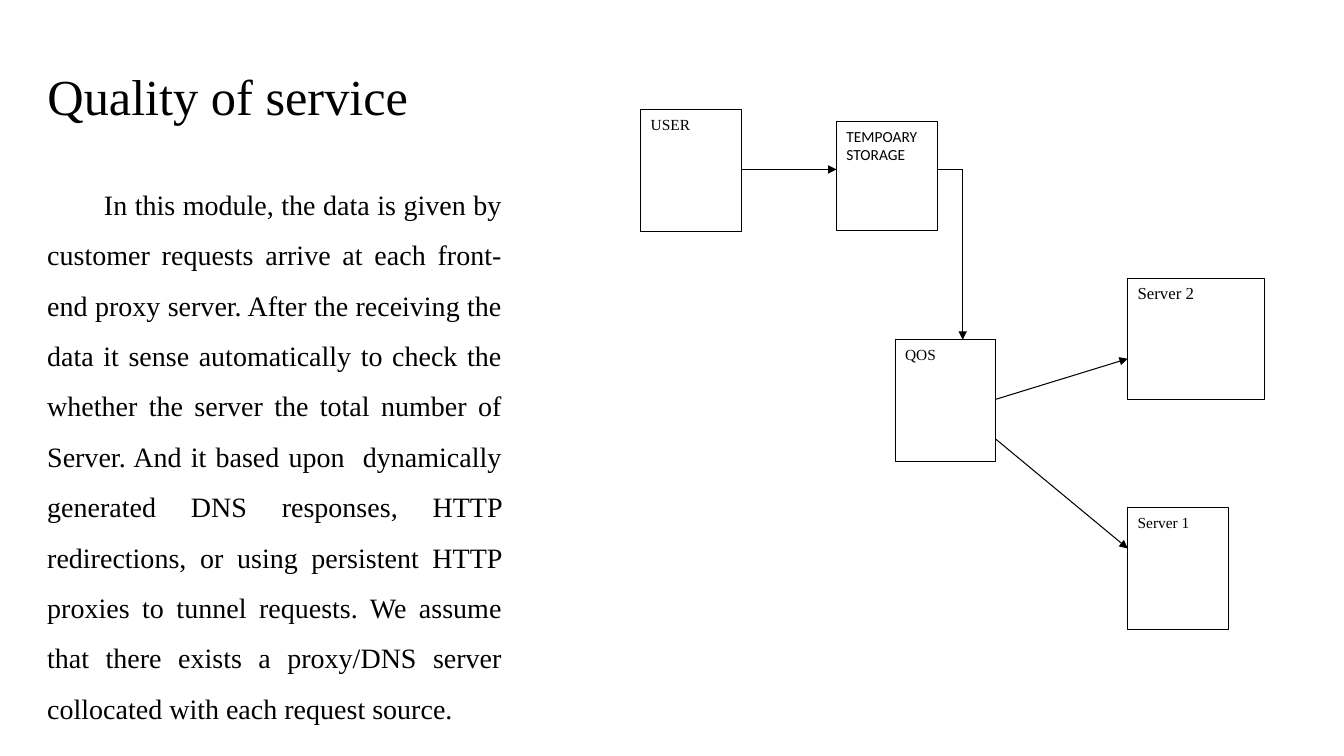
from lxml.etree import SubElement as Sub
from pptx import Presentation
from pptx.dml.color import RGBColor
from pptx.enum.shapes import MSO_CONNECTOR as Link, MSO_SHAPE as Form
from pptx.enum.text import MSO_ANCHOR as Anchor, MSO_AUTO_SIZE as Fit, PP_ALIGN as Align
from pptx.oxml.ns import qn
from pptx.util import Cm, Pt

# Content
TITLE = "Quality of service"
BODY = (
    "In this module, the data is given by customer requests arrive at each "
    "front-end proxy server. After the receiving the data it sense automatically "
    "to check the whether the server the total number of Server. And it based "
    "upon  dynamically generated DNS responses, HTTP redirections, or using "
    "persistent HTTP proxies to tunnel requests. We assume that there exists a "
    "proxy/DNS server collocated with each request source."
)
SERIF, SANS = "Times New Roman", "Calibri"
BLACK, WHITE = "000000", "FFFFFF"

# Boxes: label, left, top, width, height in cm, font, size
BOXES = {
    "user": ("USER", 16.15, 2.77, 2.54, 3.07, SERIF, 11),
    "store": ("TEMPOARY STORAGE", 21.08, 3.07, 2.54, 2.74, SANS, 11),
    "qos": ("QOS", 22.56, 8.56, 2.54, 3.07, SERIF, 11),
    "one": ("Server 1", 28.42, 12.8, 2.54, 3.07, SERIF, 11),
    "two": ("Server 2", 28.42, 7.01, 3.45, 3.07, SERIF, 12),
}


def left(key):
    return BOXES[key][1]


def right(key):
    return BOXES[key][1] + BOXES[key][3]


# Links: start, end, arrow at the end
FLOW, BEND = 4.27, 24.26
LINKS = [
    ((right("user"), FLOW), (left("store"), FLOW), True),
    ((right("store"), FLOW), (BEND, FLOW), False),
    ((BEND, FLOW), (BEND, BOXES["qos"][2]), True),
    ((right("qos"), 10.06), (left("two"), 9.04), True),
    ((right("qos"), 11.07), (left("one"), 13.82), True),
]


def color(code):
    return RGBColor.from_string(code)


def place(shape, x, y, w, h):
    shape.left, shape.top, shape.width, shape.height = map(Cm, (x, y, w, h))


def write(shape, text, font, size, align=Align.LEFT, lines=1.0, after=0):
    frame = shape.text_frame
    frame.word_wrap = True
    frame.auto_size = Fit.NONE
    frame.vertical_anchor = Anchor.TOP
    frame.text = text
    para = frame.paragraphs[0]
    para.alignment, para.line_spacing = align, lines
    para.space_before, para.space_after = Pt(0), Pt(after)
    para.font.name, para.font.size = font, Pt(size)
    para.font.color.rgb = color(BLACK)
    return para


def stroke(shape):
    shape.line.color.rgb = color(BLACK)
    shape.line.width = Pt(0.75)


def draw_box(group, label, x, y, w, h, font, size):
    box = group.shapes.add_shape(Form.RECTANGLE, Cm(x), Cm(y), Cm(w), Cm(h))
    box.shadow.inherit = False
    box.fill.solid()
    box.fill.fore_color.rgb = color(WHITE)
    stroke(box)
    write(box, label, font, size, after=10)


def draw_link(group, start, end, arrow):
    line = group.shapes.add_connector(Link.STRAIGHT, *map(Cm, start + end))
    stroke(line)
    if arrow:
        Sub(line.line._get_or_add_ln(), qn("a:tailEnd"), type="triangle")
    Sub(line._element.spPr, qn("a:effectLst"))


deck = Presentation()
deck.slide_width, deck.slide_height = Cm(33.87), Cm(19.05)
slide = deck.slides.add_slide(deck.slide_layouts[5])

# Title and text
title = slide.shapes.title
place(title, 0.94, 0.74, 11.96, 2.5)
write(title, TITLE, SERIF, 36, lines=1.5)
body = slide.shapes.add_textbox(0, 0, 0, 0)
place(body, 0.94, 4.17, 11.96, 14.4)
para = write(body, BODY, SERIF, 20, Align.JUSTIFY, 1.5)
para._p.get_or_add_pPr().set("indent", str(Cm(1.43)))

# Diagram
group = slide.shapes.add_group_shape()
for box in BOXES.values():
    draw_box(group, *box)
for link in LINKS:
    draw_link(group, *link)

deck.save("out.pptx")
